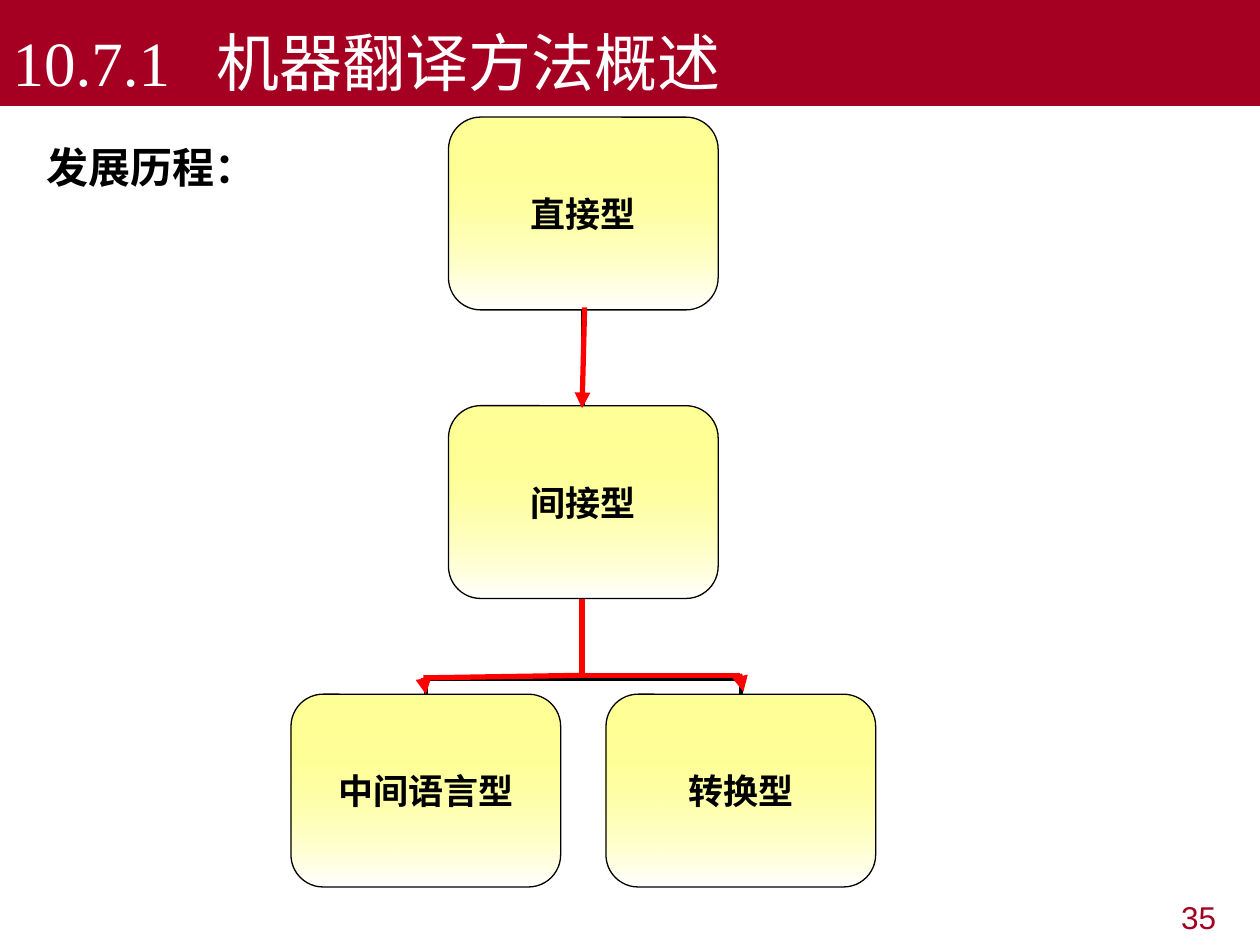
from dataclasses import dataclass

from lxml.etree import SubElement
from pptx import Presentation
from pptx.dml.color import RGBColor
from pptx.enum.shapes import MSO_CONNECTOR, MSO_SHAPE
from pptx.enum.text import MSO_ANCHOR, MSO_AUTO_SIZE, PP_ALIGN
from pptx.oxml.ns import qn
from pptx.util import Inches, Pt


@dataclass(frozen=True)
class Theme:
    red: str = "A50021"
    arrow: str = "FF0000"
    yellow: str = "FFFF00"
    white: str = "FFFFFF"
    black: str = "000000"
    serif: str = "Times New Roman"
    sans: str = "Arial"
    han: str = "Noto Sans CJK SC"
    title: int = 36
    head: int = 24
    node: int = 20
    page: int = 18


@dataclass(frozen=True)
class Node:
    text: str
    mid: float
    top: float


@dataclass(frozen=True)
class Link:
    start: tuple[float, float]
    end: tuple[float, float]
    tip: bool = False


THEME = Theme()
WIDE, HIGH = 2.14, 1.53
STEP, TOP, AXIS, SIDE = 2.29, 0.93, 4.63, 1.25
ROWS = [TOP + STEP * i for i in range(3)]

NODES = [
    Node("直接型", AXIS, ROWS[0]),
    Node("间接型", AXIS, ROWS[1]),
    Node("中间语言型", AXIS - SIDE, ROWS[2]),
    Node("转换型", AXIS + SIDE, ROWS[2]),
]
FORK = (4.62, 5.36)
FIRST = Link((4.64, 2.44), (4.62, 3.24), tip=True)
LINKS = [
    Link(FORK, (3.36, 5.38)),
    Link(FORK, (5.87, 5.36)),
    Link((3.36, 5.38), (3.38, 5.51), tip=True),
    Link((5.87, 5.35), (5.9, 5.49), tip=True),
    Link((4.62, 4.75), FORK),
]


def rgb(code: str) -> RGBColor:
    return RGBColor.from_string(code)


def write(shape, text: str, *, size: int, color: str, font: str,
          bold: bool = False, align=PP_ALIGN.LEFT, anchor=MSO_ANCHOR.TOP,
          wrap: bool = True, inset: tuple[float, float] = (0.1, 0.05),
          lead: float = 1.0, tab: float | None = None) -> None:
    """Fill a shape with one formatted paragraph."""
    frame = shape.text_frame
    frame.auto_size = MSO_AUTO_SIZE.NONE
    frame.word_wrap, frame.vertical_anchor = wrap, anchor
    frame.margin_left = frame.margin_right = Inches(inset[0])
    frame.margin_top = frame.margin_bottom = Inches(inset[1])
    para = frame.paragraphs[0]
    para.alignment, para.line_spacing = align, lead
    para.space_before = Pt(0)
    if tab is not None:
        stops = SubElement(para._p.get_or_add_pPr(), qn("a:tabLst"))
        SubElement(stops, qn("a:tab"), pos=str(Inches(tab)), algn="l")
    run = para.add_run()
    run.text = text
    run.font.size, run.font.bold = Pt(size), bold
    run.font.name = font
    run.font.color.rgb = rgb(color)
    SubElement(run._r.get_or_add_rPr(), qn("a:ea"), typeface=THEME.han)


def wire(shapes, kind, link: Link, color: str, width: float):
    """Draw a connector, with an arrowhead at its end if it has a tip."""
    line = shapes.add_connector(
        kind, *(Inches(v) for v in (*link.start, *link.end)))
    line.line.color.rgb, line.line.width = rgb(color), Pt(width)
    if link.tip:
        SubElement(line.line._get_or_add_ln(), qn("a:tailEnd"), type="triangle")
    SubElement(line._element.spPr, qn("a:effectLst"))
    return line


def elbow(shapes, child: Node, parent: Node) -> None:
    """Join a child's top to its parent's base, bending near the child."""
    base = parent.top + HIGH
    mid_x, mid_y = (child.mid + parent.mid) / 2, (child.top + base) / 2
    right = child.mid > parent.mid
    dx = (child.top - base) / 2 * (1 if right else -1)
    dy = abs(child.mid - parent.mid) / 2
    # The ends are given as they lie before the quarter turn
    link = Link((mid_x - dx, mid_y + dy), (mid_x + dx, mid_y - dy))
    line = wire(shapes, MSO_CONNECTOR.ELBOW, link, THEME.black, 2.25)
    props = line._element.spPr
    props.find(qn("a:xfrm")).set("rot", str((270 if right else 90) * 60000))
    guides = props.find(qn("a:prstGeom")).find(qn("a:avLst"))
    SubElement(guides, qn("a:gd"), name="adj1", fmla="val 16300")


def draw(shapes, node: Node) -> None:
    """Draw a rounded box that fades from pale yellow to white."""
    box = shapes.add_shape(
        MSO_SHAPE.ROUNDED_RECTANGLE, Inches(node.mid - WIDE / 2),
        Inches(node.top), Inches(WIDE), Inches(HIGH))
    box.shadow.inherit = False
    box.fill.gradient()
    box.fill.gradient_angle = 270
    stops = box.fill.gradient_stops
    for stop, place, color in zip(stops, (0, 1), (THEME.yellow, THEME.white)):
        stop.position, stop.color.rgb = place, rgb(color)
    tint = box._element.spPr.find(".//" + qn("a:srgbClr"))
    SubElement(tint, qn("a:alpha"), val="40000")
    box.line.color.rgb, box.line.width = rgb(THEME.black), Pt(0.75)
    write(box, node.text, size=THEME.node, color=THEME.black,
          font=THEME.serif, bold=True, align=PP_ALIGN.CENTER,
          anchor=MSO_ANCHOR.MIDDLE, wrap=False, inset=(0, 0))


def main() -> None:
    deck = Presentation()
    deck.slide_width, deck.slide_height = Inches(10), Inches(7.5)
    slide = deck.slides.add_slide(deck.slide_layouts[5])
    shapes = slide.shapes

    # Page number
    page = shapes.add_textbox(
        Inches(7.58), Inches(7.08), Inches(2.17), Inches(0.39))
    write(page, "35", size=THEME.page, color=THEME.red, font=THEME.sans,
          align=PP_ALIGN.RIGHT)

    # Title band
    title = shapes.title
    title.left, title.top = 0, 0
    title.width, title.height = Inches(10), Inches(0.84)
    title.fill.solid()
    title.fill.fore_color.rgb = rgb(THEME.red)
    write(title, "10.7.1\t机器翻译方法概述", size=THEME.title,
          color=THEME.white, font=THEME.serif, anchor=MSO_ANCHOR.BOTTOM,
          tab=1.62)

    # Heading
    head = shapes.add_textbox(
        Inches(0.27), Inches(0.99), Inches(4.64), Inches(5.91))
    write(head, "发展历程：", size=THEME.head, color=THEME.black,
          font=THEME.han, bold=True, lead=1.2)

    # Tree of methods
    tree = shapes.add_group_shape().shapes
    direct, inner, pivot, shift = NODES
    for child in (shift, pivot):
        elbow(tree, child, inner)
    stem = Link((AXIS, inner.top), (AXIS, direct.top + HIGH))
    wire(tree, MSO_CONNECTOR.STRAIGHT, stem, THEME.black, 2.25)
    for node in NODES:
        draw(tree, node)
    wire(tree, MSO_CONNECTOR.STRAIGHT, FIRST, THEME.arrow, 3)

    # Red path over the fork
    for link in LINKS:
        wire(shapes, MSO_CONNECTOR.STRAIGHT, link, THEME.arrow, 3)

    deck.save("out.pptx")


if __name__ == "__main__":
    main()
